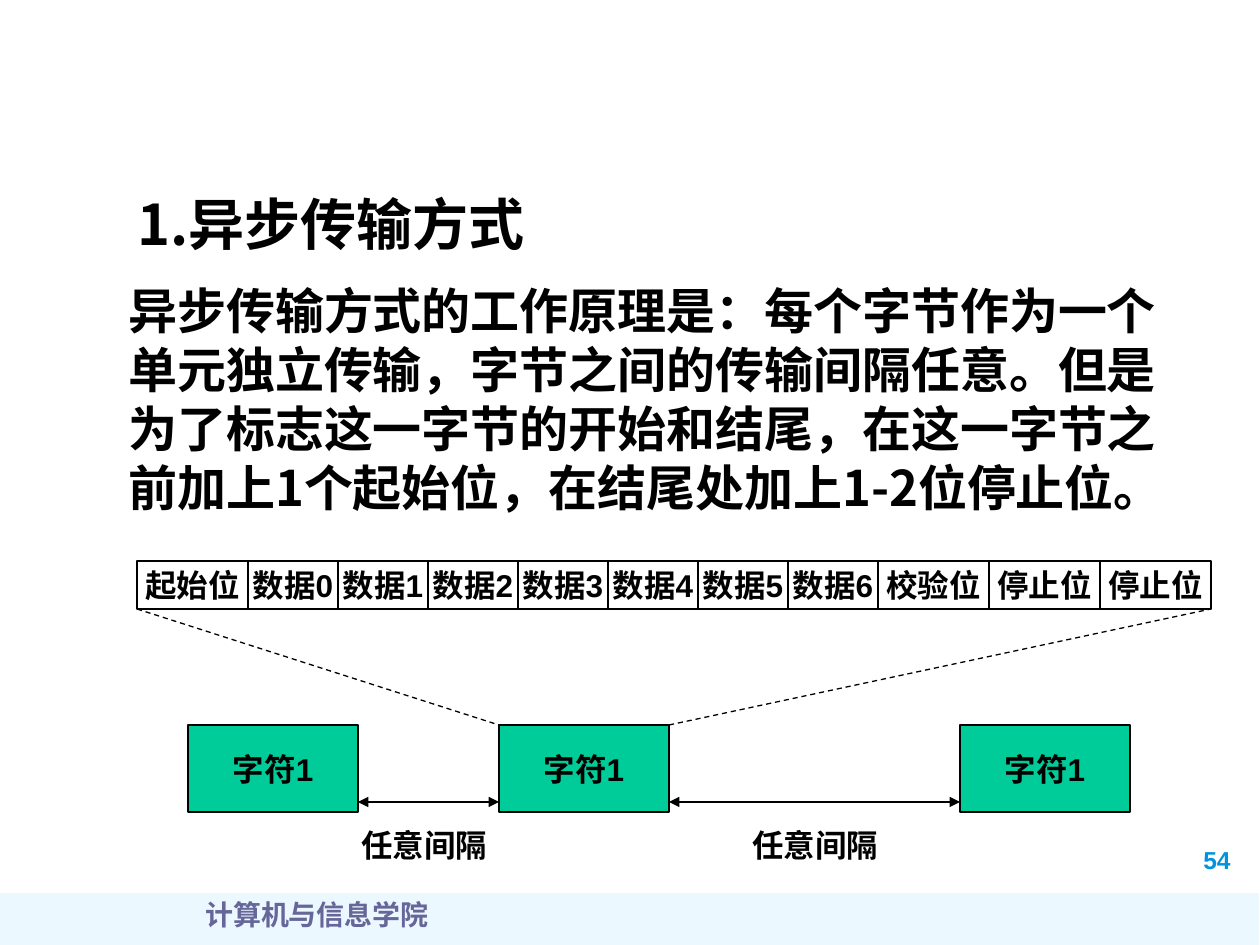
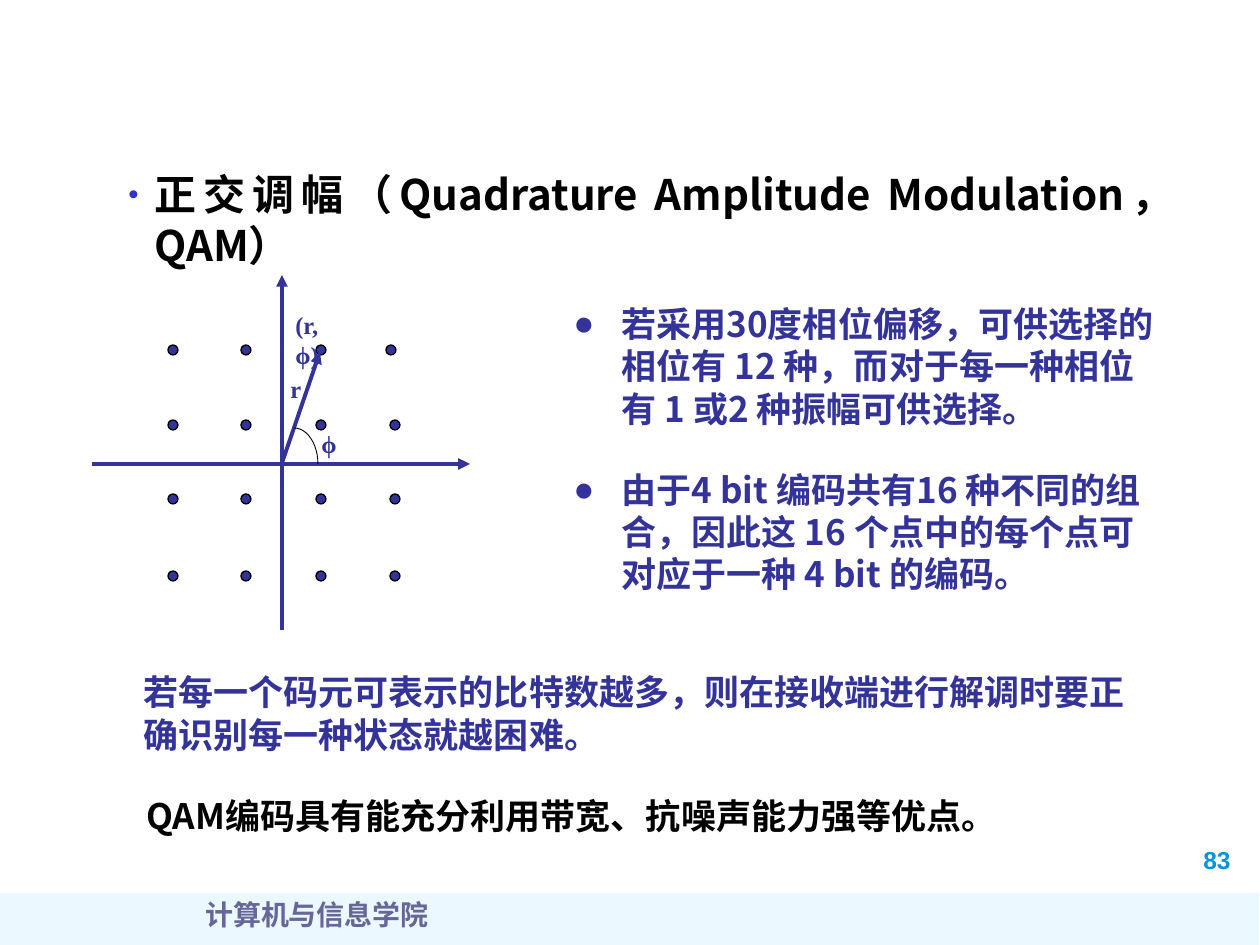
import math

import pptx
import pptx.dml.color
import pptx.enum.dml
import pptx.enum.shapes
import pptx.enum.text
import pptx.oxml
import pptx.oxml.ns
import pptx.util

RGBColor = pptx.dml.color.RGBColor
SHAPES = pptx.enum.shapes.MSO_SHAPE
ALIGN = pptx.enum.text.PP_ALIGN
ANCHOR = pptx.enum.text.MSO_ANCHOR
DASH = pptx.enum.dml.MSO_LINE

PX_PER_INCH = 126
EMU_PER_PX = 914400 / PX_PER_INCH

BLACK = RGBColor(0x00, 0x00, 0x00)
INDIGO = RGBColor(0x33, 0x33, 0x99)
BULLET_BLUE = RGBColor(0x33, 0x33, 0xCC)
GREEN = RGBColor(0x00, 0xCC, 0x99)
BAND_BLUE = RGBColor(0xA7, 0xE2, 0xFF)
NUMBER_BLUE = RGBColor(0x00, 0x94, 0xDE)
SCHOOL_GREY = RGBColor(0x66, 0x66, 0x99)

CJK = "Noto Sans CJK SC"
SANS = "Arial"
SERIF = "Times New Roman"


def emu(px):
    return pptx.util.Emu(round(px * EMU_PER_PX))


def add_xml(parent, tag, **attributes):
    """Append a drawing element such as a:buChar and return it."""
    element = pptx.oxml.parse_xml(f"<a:{tag} {pptx.oxml.ns.nsdecls('a')}/>")
    for name, value in attributes.items():
        element.set(name, str(value))
    parent.append(element)
    return element


def set_bullet(paragraph, character, indent, color=None, percent=None):
    properties = paragraph._p.get_or_add_pPr()
    properties.set("marL", str(emu(indent)))
    properties.set("indent", str(-emu(indent)))
    if color is not None:
        add_xml(add_xml(properties, "buClr"), "srgbClr", val=color)
    if percent:
        add_xml(properties, "buSzPct", val=percent * 1000)
    add_xml(properties, "buFont", typeface=SANS)
    add_xml(properties, "buChar", char=character)


def write_text(shape, text, size=18, font=SANS, color=BLACK, align=ALIGN.LEFT,
               anchor=ANCHOR.TOP, wrap=True, bullet=None):
    frame = shape.text_frame
    frame.word_wrap = wrap
    frame.vertical_anchor = anchor
    paragraph = frame.paragraphs[0]
    paragraph.alignment = align
    if bullet:
        set_bullet(paragraph, **bullet)
    if font == CJK:
        # Tight lines, with the first one lowered a little
        paragraph.line_spacing = pptx.util.Pt(size * 1.2)
        frame.margin_top = emu(9)
    run = paragraph.add_run()
    run.text = text
    run.font.size = pptx.util.Pt(size)
    run.font.bold = True
    run.font.color.rgb = color
    run.font.name = font
    add_xml(run._r.get_or_add_rPr(), "ea", typeface=CJK)


def add_text(slide, box, text, **text_format):
    shape = slide.shapes.add_textbox(*map(emu, box))
    write_text(shape, text, **text_format)
    return shape


def style_shape(shape, fill=None, line=BLACK, width=0.75):
    shape.shadow.inherit = False
    if fill is None:
        shape.fill.background()
    else:
        shape.fill.solid()
        shape.fill.fore_color.rgb = fill
    if line is None:
        shape.line.fill.background()
    else:
        shape.line.color.rgb = line
        shape.line.width = pptx.util.Pt(width)
    return shape


def add_box(slide, box, kind=SHAPES.RECTANGLE, **style):
    return style_shape(slide.shapes.add_shape(kind, *map(emu, box)), **style)


def add_label_box(slide, box, text, fill=None):
    shape = add_box(slide, box, fill=fill)
    write_text(shape, text, align=ALIGN.CENTER, anchor=ANCHOR.MIDDLE, wrap=False)


def add_line(slide, start, end, color=BLACK, width=0.75, dash=None, arrows=()):
    """Draw a straight line; arrows lists headEnd and tailEnd as wanted."""
    connector = slide.shapes.add_connector(
        pptx.enum.shapes.MSO_CONNECTOR.STRAIGHT, *map(emu, (*start, *end)))
    connector.line.color.rgb = color
    connector.line.width = pptx.util.Pt(width)
    if dash is not None:
        connector.line.dash_style = dash
    outline = connector.line._get_or_add_ln()
    for arrow in arrows:
        add_xml(outline, arrow, type="triangle")
    add_xml(connector._element.spPr, "effectLst")


def add_base_slide(presentation, number):
    """Blank slide with the footer band, school name and page number."""
    slide = presentation.slides.add_slide(presentation.slide_layouts[6])
    band = add_box(slide, (-1, 893, 1260, 55), fill=BAND_BLUE, line=None)
    band_color = band._element.spPr.find(".//" + pptx.oxml.ns.qn("a:srgbClr"))
    add_xml(band_color, "alpha", val=21000)
    add_text(slide, (1191, 839, 74, 42), number, size=14, color=NUMBER_BLUE)
    add_text(slide, (34, 891, 566, 63), "计算机与信息学院", size=16, font=SERIF,
             color=SCHOOL_GREY, align=ALIGN.CENTER)
    return slide


def draw_frame_diagram(slide, left, top):
    """Bit layout of one character above characters sent at any interval."""
    # Bits of one character
    bits = ["起始位", *(f"数据{n}" for n in range(7)), "校验位", "停止位", "停止位"]
    row_height = 48
    x = left
    for bit in bits:
        width = 90 if bit.startswith("数据") else 111
        add_label_box(slide, (x, top, width, row_height), bit)
        x += width
    row_right, row_bottom = x, top + row_height

    # Characters on the line
    width, height = 170, 87
    char_top = top + 164
    char_lefts = [left + offset for offset in (51, 362, 823)]
    for x in char_lefts:
        add_label_box(slide, (x, char_top, width, height), "字符1", fill=GREEN)

    # Zoom lines from the middle character to the bit row
    middle = char_lefts[1]
    add_line(slide, (left, row_bottom), (middle, char_top), dash=DASH.DASH)
    add_line(slide, (middle + width, char_top), (row_right, row_bottom),
             dash=DASH.DASH)

    # Gaps between neighbouring characters
    arrow_y = char_top + 77
    for x, next_x in zip(char_lefts, char_lefts[1:]):
        add_line(slide, (x + width, arrow_y), (next_x, arrow_y),
                 arrows=("headEnd", "tailEnd"))
    for offset in (212, 603):
        add_text(slide, (left + offset, top + 259, 180, 49), "任意间隔")


def draw_constellation(slide, left, top):
    """Sixteen signal points on two axes, with amplitude r and phase ϕ."""
    def at(x, y):
        return left + x, top + y

    center_x, center_y = 190, 189

    # Axes
    add_line(slide, at(center_x, 0), at(center_x, 355), INDIGO, 2.25,
             arrows=("headEnd",))
    add_line(slide, at(0, center_y), at(336, center_y), dash=DASH.ROUND_DOT)
    add_line(slide, at(0, center_y), at(378, center_y), INDIGO, 2.25,
             arrows=("tailEnd",))

    # Signal points; the top right one sits slightly inward
    diameter = 10
    columns, rows = (76, 149, 224, 298), (70, 145, 219, 296)
    for y in rows:
        for x in columns:
            inward = 4 if (x, y) == (columns[-1], rows[0]) else 0
            add_box(slide, (*at(x - inward, y), diameter, diameter),
                    SHAPES.OVAL, fill=INDIGO)

    # Vector to one point and its phase arc
    add_line(slide, at(center_x, center_y - 1), at(228, 77), INDIGO, 2.25,
             arrows=("tailEnd",))
    steps = 12
    angles = [math.pi / 2 * (1 - step / steps) for step in range(steps + 1)]
    points = [tuple(map(emu, at(202 + 24 * math.cos(a), center_y - 36 * math.sin(a))))
              for a in angles]
    builder = slide.shapes.build_freeform(*points[0])
    builder.add_line_segments(points[1:], close=False)
    style_shape(builder.convert_to_shape(), width=0.5)

    # Labels
    for text, x, y, width in (("r", 186, 93, 34), ("ϕ", 217, 148, 40),
                              ("(r, ϕ)", 191, 29, 77)):
        add_text(slide, (*at(x, y), width, 42), text, size=14, font=SERIF,
                 color=INDIGO)


def add_bullet_notes(slide, left, top, width):
    notes = ("若采用30度相位偏移，可供选择的相位有 12 种，而对于每一种相位有 1 或2 种振幅可供选择。",
             "由于4 bit 编码共有16 种不同的组合，因此这 16 个点中的每个点可对应于一种 4 bit 的编码。")
    for index, note in enumerate(notes):
        add_text(slide, (left, top + 166 * index, width, 140), note, size=20,
                 font=CJK, color=INDIGO, bullet={"character": "●", "indent": 48})


def build_async_slide(presentation):
    slide = add_base_slide(presentation, "54")
    add_text(slide, (125, 180, 427, 79), "1.异步传输方式", size=32, font=CJK)
    add_text(slide, (116, 272, 1092, 251),
             "异步传输方式的工作原理是：每个字节作为一个单元独立传输，字节之间的传输间隔任意。"
             "但是为了标志这一字节的开始和结尾，在这一字节之前加上1个起始位，"
             "在结尾处加上1-2位停止位。", size=28, font=CJK)
    draw_frame_diagram(slide, 137, 561)


def build_qam_slide(presentation):
    slide = add_base_slide(presentation, "83")
    draw_constellation(slide, 92, 275)
    add_bullet_notes(slide, 561, 294, 607)
    add_text(slide, (131, 662, 1037, 97),
             "若每一个码元可表示的比特数越多，则在接收端进行解调时要正确识别每一种状态就越困难。",
             size=20, font=CJK, color=INDIGO)
    add_text(slide, (134, 785, 1034, 55),
             "QAM编码具有能充分利用带宽、抗噪声能力强等优点。", size=20, font=CJK)
    add_text(slide, (116, 160, 1070, 84),
             "正交调幅（Quadrature Amplitude Modulation，QAM）", size=24, font=CJK,
             align=ALIGN.JUSTIFY,
             bullet={"character": "•", "indent": 26, "color": BULLET_BLUE,
                     "percent": 70})


def main():
    presentation = pptx.Presentation()
    presentation.slide_width = emu(10 * PX_PER_INCH)
    presentation.slide_height = emu(7.5 * PX_PER_INCH)
    build_async_slide(presentation)
    build_qam_slide(presentation)
    presentation.save("out.pptx")


if __name__ == "__main__":
    main()
